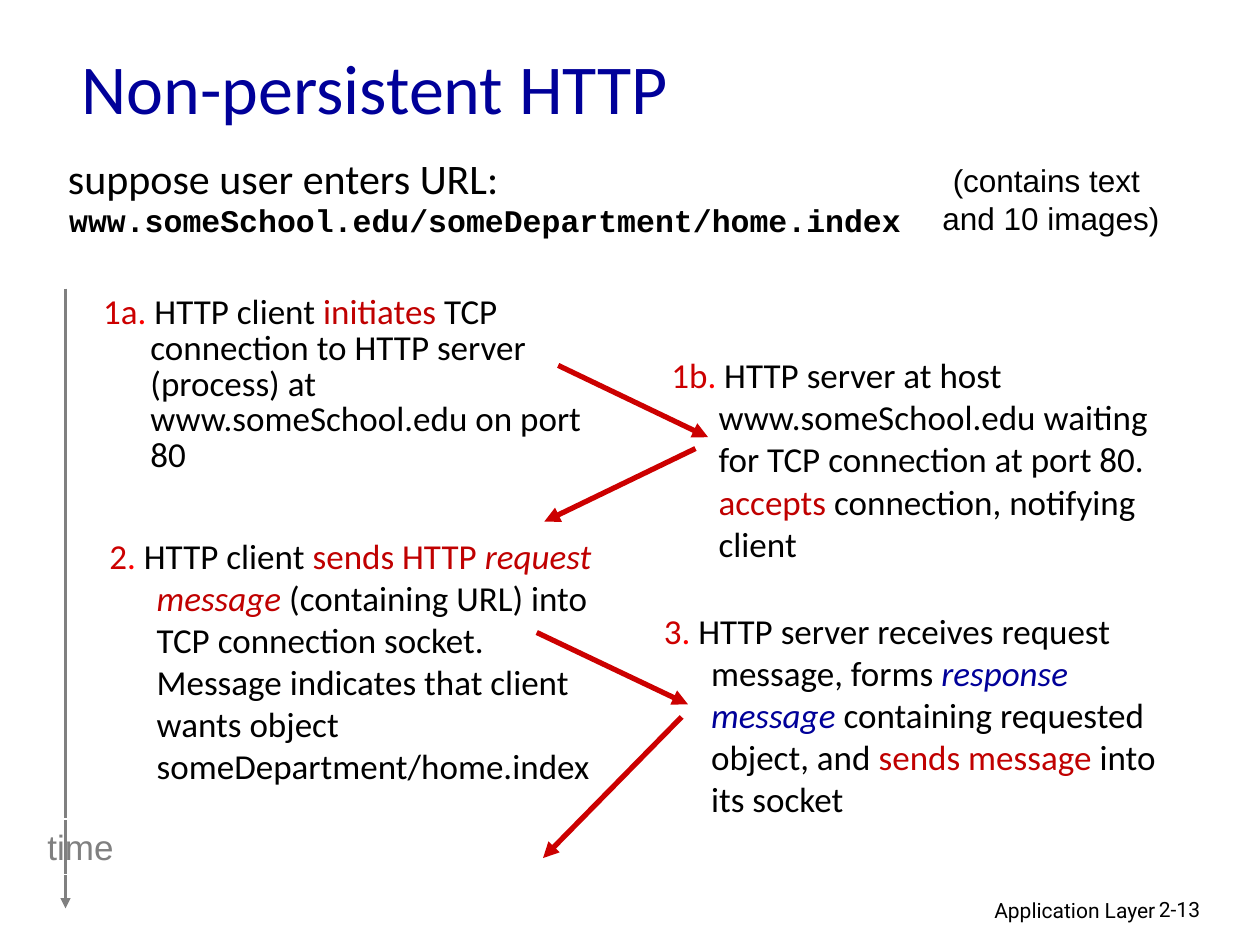
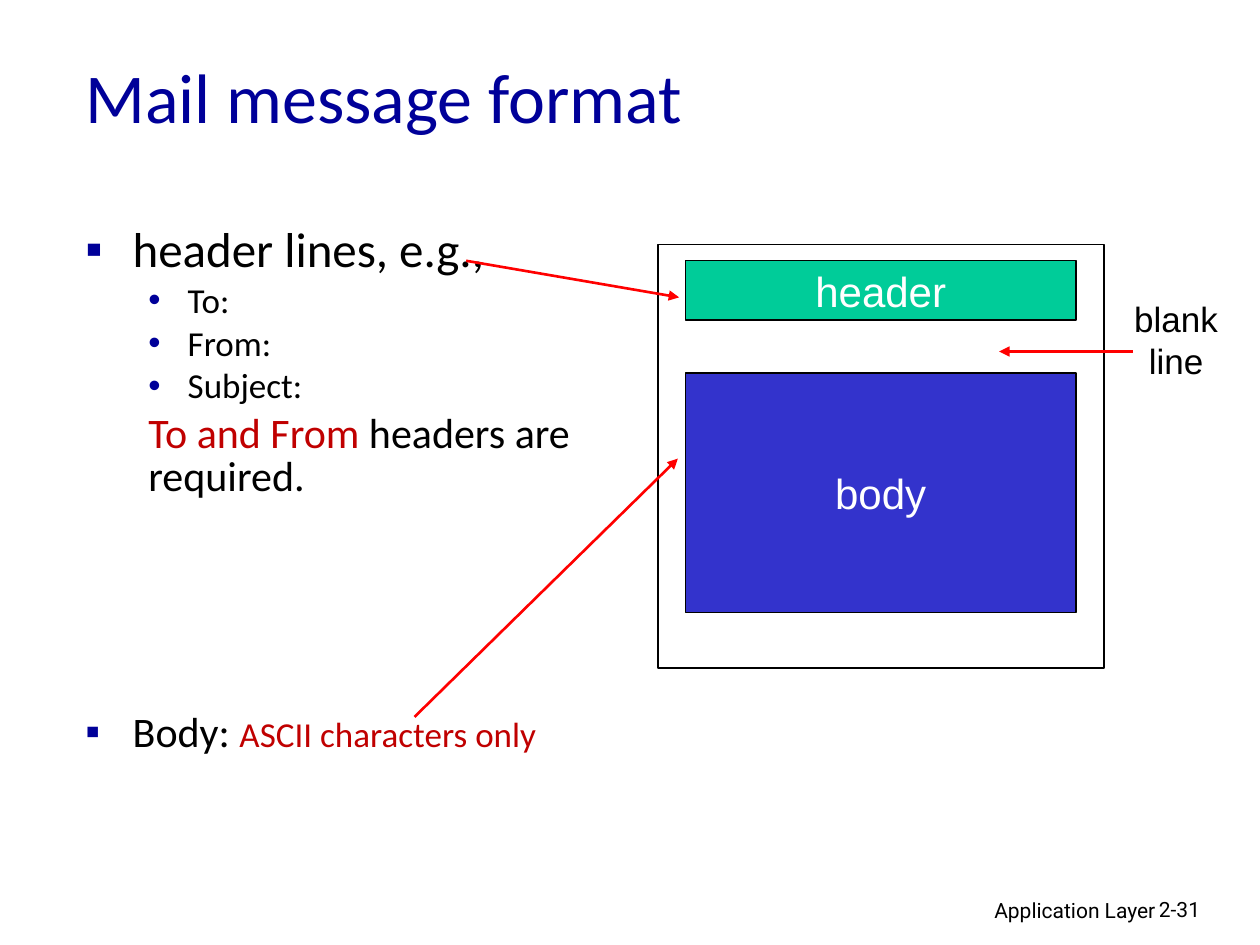
from dataclasses import dataclass
from typing import NamedTuple

from lxml import etree
from pptx import Presentation
from pptx import util as u
from pptx.dml import color
from pptx.enum import shapes, text
from pptx.oxml import ns

COLUMNS, ROWS = 100, 75
SLIDE_WIDTH, SLIDE_HEIGHT = u.Inches(10), u.Inches(7.5)


@dataclass(frozen=True)
class Theme:
    navy: str = "000099"
    black: str = "000000"
    white: str = "FFFFFF"
    grey: str = "808080"
    number: str = "CC0000"
    emphasis: str = "C00000"
    red: str = "FF0000"
    green: str = "00CC99"
    blue: str = "3333CC"
    body_font: str = "Calibri"
    label_font: str = "Arial"
    code_font: str = "Courier New"
    footer_font: str = "Roboto"
    title_size: int = 40
    lead_size: int = 28
    large_size: int = 24
    text_size: int = 20
    note_size: int = 18
    footer_size: int = 12
    tight: float = 0.85
    space_share: float = 0.2


THEME = Theme()


class Box(NamedTuple):
    """A rectangle in grid columns and rows."""
    left: float
    top: float
    width: float
    height: float


class Run(NamedTuple):
    text: str
    colour: str = THEME.black
    size: int = THEME.text_size
    font: str = THEME.body_font
    italic: bool = False
    bold: bool = False


@dataclass(frozen=True)
class Paragraph:
    """Margin and indent are in columns; space_before is in points."""
    runs: tuple[Run, ...]
    align: text.PP_ALIGN = text.PP_ALIGN.LEFT
    margin: float = 0
    indent: float = 0
    line_spacing: float = 1
    space_before: float = 0
    bullet: str = ""


@dataclass(frozen=True)
class Arrow:
    start: tuple[float, float]
    end: tuple[float, float]
    colour: str
    width: float


@dataclass(frozen=True)
class Block:
    box: Box
    label: str = ""
    fill: str = ""
    border: str = THEME.black
    border_width: float = 0.75
    label_colour: str = THEME.white
    label_size: int = THEME.large_size
    anchor: text.MSO_ANCHOR = text.MSO_ANCHOR.MIDDLE


@dataclass(frozen=True)
class Step:
    box: Box
    number: str
    runs: tuple[Run, ...]
    line_spacing: float = 1


def across(columns: float) -> int:
    return round(SLIDE_WIDTH * columns / COLUMNS)


def down(rows: float) -> int:
    return round(SLIDE_HEIGHT * rows / ROWS)


def place(box: Box) -> tuple[int, int, int, int]:
    return across(box.left), down(box.top), across(box.width), down(box.height)


def rgb(value: str) -> color.RGBColor:
    return color.RGBColor.from_string(value)


def add_child(parent, tag: str, **attributes: str):
    return etree.SubElement(parent, ns.qn(tag), **attributes)


def write_paragraph(paragraph, content: Paragraph) -> None:
    paragraph.alignment = content.align
    paragraph.line_spacing = content.line_spacing
    paragraph.space_before = u.Pt(content.space_before)
    properties = paragraph._p.get_or_add_pPr()
    properties.set("marL", str(across(content.margin)))
    properties.set("indent", str(across(content.indent)))
    if content.bullet:
        bullet_colour = add_child(properties, "a:buClr")
        add_child(bullet_colour, "a:srgbClr", val=THEME.navy)
        add_child(properties, "a:buFont", typeface=THEME.label_font)
        add_child(properties, "a:buChar", char=content.bullet)
    for item in content.runs:
        run = paragraph.add_run()
        run.text = item.text
        run.font.name = item.font
        run.font.size = u.Pt(item.size)
        run.font.bold = item.bold
        run.font.italic = item.italic
        run.font.color.rgb = rgb(item.colour)


def write_text(frame, paragraphs: list[Paragraph], wrap: bool,
               anchor: text.MSO_ANCHOR) -> None:
    frame.word_wrap = wrap
    frame.vertical_anchor = anchor
    for index, content in enumerate(paragraphs):
        paragraph = frame.add_paragraph() if index else frame.paragraphs[0]
        write_paragraph(paragraph, content)


def add_text(slide, box: Box, *paragraphs: Paragraph, wrap: bool = True,
             anchor: text.MSO_ANCHOR = text.MSO_ANCHOR.TOP) -> None:
    shape = slide.shapes.add_textbox(*place(box))
    write_text(shape.text_frame, list(paragraphs), wrap, anchor)


def add_arrow(slide, arrow: Arrow) -> None:
    (x1, y1), (x2, y2) = arrow.start, arrow.end
    connector = slide.shapes.add_connector(
        shapes.MSO_CONNECTOR.STRAIGHT, across(x1), down(y1), across(x2), down(y2))
    connector.line.color.rgb = rgb(arrow.colour)
    connector.line.width = u.Pt(arrow.width)
    properties = connector._element.spPr
    add_child(properties.find(ns.qn("a:ln")), "a:tailEnd", type="triangle")
    add_child(properties, "a:effectLst")


def add_block(slide, block: Block) -> None:
    shape = slide.shapes.add_shape(shapes.MSO_SHAPE.RECTANGLE, *place(block.box))
    shape.shadow.inherit = False
    if block.fill:
        shape.fill.solid()
        shape.fill.fore_color.rgb = rgb(block.fill)
    else:
        shape.fill.background()
    shape.line.color.rgb = rgb(block.border)
    shape.line.width = u.Pt(block.border_width)
    if block.label:
        label = Run(block.label, block.label_colour, block.label_size, THEME.label_font)
        write_text(shape.text_frame, [Paragraph((label,), text.PP_ALIGN.CENTER)],
                   False, block.anchor)


def add_centred_note(slide, box: Box, lines: tuple[str, ...], size: int) -> None:
    add_text(slide, box, *(
        Paragraph((Run(line, size=size, font=THEME.label_font),), text.PP_ALIGN.CENTER)
        for line in lines), wrap=False)


def hanging(*runs: Run, line_spacing: float = THEME.tight, bullet: str = "",
            space_before: float | None = None) -> Paragraph:
    """Top-level paragraph whose first line hangs out to the left."""
    if space_before is None:
        space_before = runs[0].size * THEME.space_share
    return Paragraph(runs, margin=3.75, indent=-3.75, line_spacing=line_spacing,
                     space_before=space_before, bullet=bullet)


def add_step(slide, step: Step) -> None:
    add_text(slide, step.box, hanging(
        Run(step.number, THEME.number), Run(".", THEME.red), *step.runs,
        line_spacing=step.line_spacing))


def new_slide(presentation, title: str, title_box: Box, number: str):
    """Blank slide with the shared title style and footer."""
    slide = presentation.slides.add_slide(presentation.slide_layouts[6])
    footer = ((Box(61, 70.7, 31.7, 3.1), "Application Layer", text.PP_ALIGN.RIGHT),
              (Box(91, 70.7, 7.4, 3), number, text.PP_ALIGN.LEFT))
    for box, words, align in footer:
        run = Run(words, size=THEME.footer_size, font=THEME.footer_font)
        add_text(slide, box, Paragraph((run,), align))
    add_text(slide, title_box,
             Paragraph((Run(title, THEME.navy, THEME.title_size),)),
             anchor=text.MSO_ANCHOR.MIDDLE)
    return slide


def build_http_slide(presentation) -> None:
    slide = new_slide(presentation, "Non-persistent HTTP",
                      Box(5.5, 2.1, 85, 9.5), "2-13")
    add_arrow(slide, Arrow((5.2, 22.9), (5.2, 72.1), THEME.grey, 1.5))
    add_text(slide, Box(4.4, 12.2, 86.9, 5.1),
             hanging(Run("suppose user enters URL:", size=THEME.large_size)))
    add_text(slide, Box(4.5, 15.9, 86.9, 5.1),
             hanging(Run("www.someSchool.edu/someDepartment/home.index",
                         size=THEME.note_size, font=THEME.code_font, bold=True)))
    add_centred_note(slide, Box(73.7, 12.3, 19.4, 7.1),
                     ("(contains text ", "and 10 images)"), THEME.note_size)
    steps = (
        Step(Box(7.2, 23, 43.1, 20.8), "1a", (
            Run(" HTTP client "), Run("initiates", THEME.emphasis),
            Run(" TCP connection to HTTP server (process) at "
                "www.someSchool.edu on port 80")), THEME.tight),
        Step(Box(7.7, 41.9, 41.7, 11.8), "2", (
            Run(" HTTP client "), Run("sends HTTP ", THEME.emphasis),
            Run("request message", THEME.emphasis, italic=True),
            Run(" (containing URL) into TCP connection socket. Message indicates "
                "that client wants object someDepartment/home.index"))),
        Step(Box(52.3, 27.6, 41.7, 16.5), "1b", (
            Run(" HTTP server at host www.someSchool.edu waiting for TCP "
                "connection at port 80. "),
            Run("accepts ", THEME.emphasis), Run("connection, notifying client"))),
        Step(Box(51.7, 47.9, 41.7, 19.7), "3", (
            Run(" HTTP server receives request message, forms "),
            Run("response message", THEME.navy, italic=True),
            Run(" containing requested object, and "),
            Run("sends message", THEME.emphasis), Run(" into its socket"))),
    )
    for step in steps:
        add_step(slide, step)
    messages = (((44.3, 29), (56.2, 34.7)), ((55.2, 35.6), (43.2, 41.4)),
                ((42.6, 50.2), (54.6, 55.9)), ((54.1, 56.9), (43.1, 68.1)))
    for start, end in messages:
        add_arrow(slide, Arrow(start, end, THEME.number, 3))
    add_block(slide, Block(Box(2.7, 65, 7.4, 4.4), "time", border=THEME.white,
                           label_colour=THEME.grey, label_size=THEME.text_size,
                           anchor=text.MSO_ANCHOR.TOP))


def build_mail_slide(presentation) -> None:
    slide = new_slide(presentation, "Mail message format",
                      Box(5.8, 1.3, 85, 12.5), "2-31")
    fields = [Paragraph((Run(field),), margin=8.12, indent=-3.12,
                        line_spacing=THEME.tight,
                        space_before=THEME.text_size * THEME.space_share, bullet="•")
              for field in ("To:", "From:", "Subject:")]
    required = Paragraph(
        (Run("To and From", THEME.emphasis, THEME.large_size),
         Run(" headers are required.", size=THEME.large_size)),
        margin=5, line_spacing=THEME.tight,
        space_before=THEME.large_size * THEME.space_share)
    add_text(slide, Box(5.8, 17.6, 43, 50.8),
             hanging(Run("header lines, e.g.,", size=THEME.lead_size), bullet="▪"),
             *fields, required,
             hanging(Run("Body: ", size=THEME.large_size),
                     Run("ASCII characters only", THEME.emphasis),
                     bullet="▪", space_before=122))
    for block in (Block(Box(54.4, 20.7, 31, 4.7), "header", THEME.green),
                  Block(Box(54.4, 29.6, 31, 19), "body", THEME.blue),
                  Block(Box(52.2, 19.4, 35.4, 33.6), border_width=1)):
        add_block(slide, block)
    add_centred_note(slide, Box(89, 23.1, 8.7, 7.7), ("blank", "line"), THEME.text_size)
    pointers = (((37, 20.7), (53.9, 23.6)), ((32.9, 56.9), (53.8, 36.4)),
                ((89.9, 27.9), (79.3, 27.9)))
    for start, end in pointers:
        add_arrow(slide, Arrow(start, end, THEME.red, 1.5))


def main() -> None:
    presentation = Presentation()
    presentation.slide_width, presentation.slide_height = SLIDE_WIDTH, SLIDE_HEIGHT
    build_http_slide(presentation)
    build_mail_slide(presentation)
    presentation.save("out.pptx")


if __name__ == "__main__":
    main()
